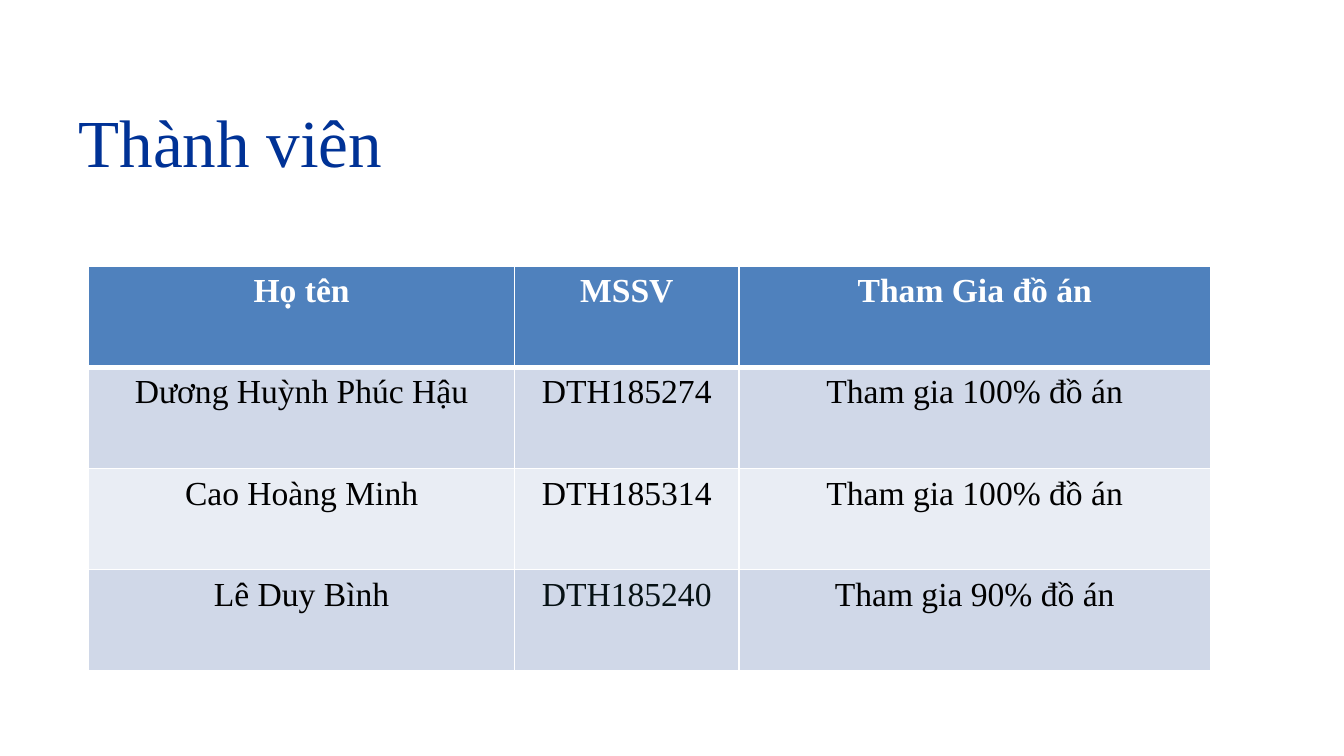
from typing import NamedTuple

from lxml.etree import SubElement
from pptx import Presentation
from pptx.dml.color import RGBColor
from pptx.enum.text import MSO_ANCHOR, PP_ALIGN
from pptx.oxml.ns import qn
from pptx.util import Pt

FONT = "Times New Roman"
NAVY = RGBColor(0x00, 0x32, 0x96)
BLUE = RGBColor(0x4F, 0x81, 0xBD)
BAND_DARK = RGBColor(0xD0, 0xD8, 0xE8)
BAND_LIGHT = RGBColor(0xE9, 0xED, 0xF4)
WHITE = RGBColor(0xFF, 0xFF, 0xFF)
BLACK = RGBColor(0x00, 0x00, 0x00)
INK = RGBColor(0x07, 0x12, 0x15)

# Vietnamese tone marks are written as combining characters
GRAVE, ACUTE, DOT = "\u0300", "\u0301", "\u0323"
PROJECT = f"\u0111\u00f4{GRAVE} a{ACUTE}n"


class Member(NamedTuple):
    name: str
    student_id: str
    share: int
    id_color: RGBColor = BLACK


TITLE = f"Tha{GRAVE}nh vi\u00ean"
HEADINGS = (f"Ho{DOT} t\u00ean", "MSSV", f"Tham Gia {PROJECT}")
MEMBERS = (
    Member(f"D\u01b0\u01a1ng Huy{GRAVE}nh Phu{ACUTE}c H\u00e2{DOT}u", "DTH185274", 100),
    Member(f"Cao Hoa{GRAVE}ng Minh", "DTH185314", 100),
    Member(f"L\u00ea Duy Bi{GRAVE}nh", "DTH185240", 90, INK),
)
COLUMN_WIDTHS = (228.2, 120.2, 252.7)
ROW_HEIGHT = 54.2


def style_paragraph(paragraph, size: float, color: RGBColor, bold: bool = False) -> None:
    font = paragraph.font
    font.name, font.size, font.bold = FONT, Pt(size), bold
    font.color.rgb = color


def fill_cell(cell, text: str, fill: RGBColor, color: RGBColor, bold: bool = False) -> None:
    cell.text = text
    cell.fill.solid()
    cell.fill.fore_color.rgb = fill
    paragraph = cell.text_frame.paragraphs[0]
    paragraph.alignment = PP_ALIGN.CENTER
    style_paragraph(paragraph, 18, color, bold)


def add_border(cell, side: str, width: float, color: RGBColor) -> None:
    properties = cell._tc.get_or_add_tcPr()
    line = SubElement(properties, qn(f"a:{side}"), w=str(Pt(width)))
    SubElement(SubElement(line, qn("a:solidFill")), qn("a:srgbClr"), val=str(color))


deck = Presentation()
deck.slide_width, deck.slide_height = Pt(720), Pt(405)
page = deck.slides.add_slide(deck.slide_layouts[5])

# Title
title = page.shapes.title
title.left, title.top, title.width, title.height = Pt(34.8), Pt(34.1), Pt(649.5), Pt(82)
title.text_frame.text = TITLE
title.text_frame.vertical_anchor = MSO_ANCHOR.MIDDLE
heading = title.text_frame.paragraphs[0]
heading.alignment = PP_ALIGN.LEFT
style_paragraph(heading, 36, NAVY)

# Member table; its default style supplies the thin white rules
row_count = len(MEMBERS) + 1
table = page.shapes.add_table(
    row_count, len(HEADINGS), Pt(47.5), Pt(142.5),
    Pt(sum(COLUMN_WIDTHS)), Pt(ROW_HEIGHT * row_count),
).table
for column, width in zip(table.columns, COLUMN_WIDTHS):
    column.width = Pt(width)
for row in table.rows:
    row.height = Pt(ROW_HEIGHT)

# Header row with a thick rule below
for column_index, text in enumerate(HEADINGS):
    header_cell = table.cell(0, column_index)
    for side, width in (("lnL", 1), ("lnR", 1), ("lnT", 1), ("lnB", 3)):
        add_border(header_cell, side, width, WHITE)
    fill_cell(header_cell, text, BLUE, WHITE, bold=True)

# Member rows in alternating bands
for row_index, member in enumerate(MEMBERS, start=1):
    band = BAND_DARK if row_index % 2 else BAND_LIGHT
    fill_cell(table.cell(row_index, 0), member.name, band, BLACK)
    fill_cell(table.cell(row_index, 1), member.student_id, band, member.id_color)
    fill_cell(table.cell(row_index, 2), f"Tham gia {member.share}% {PROJECT}", band, BLACK)

deck.save("out.pptx")
